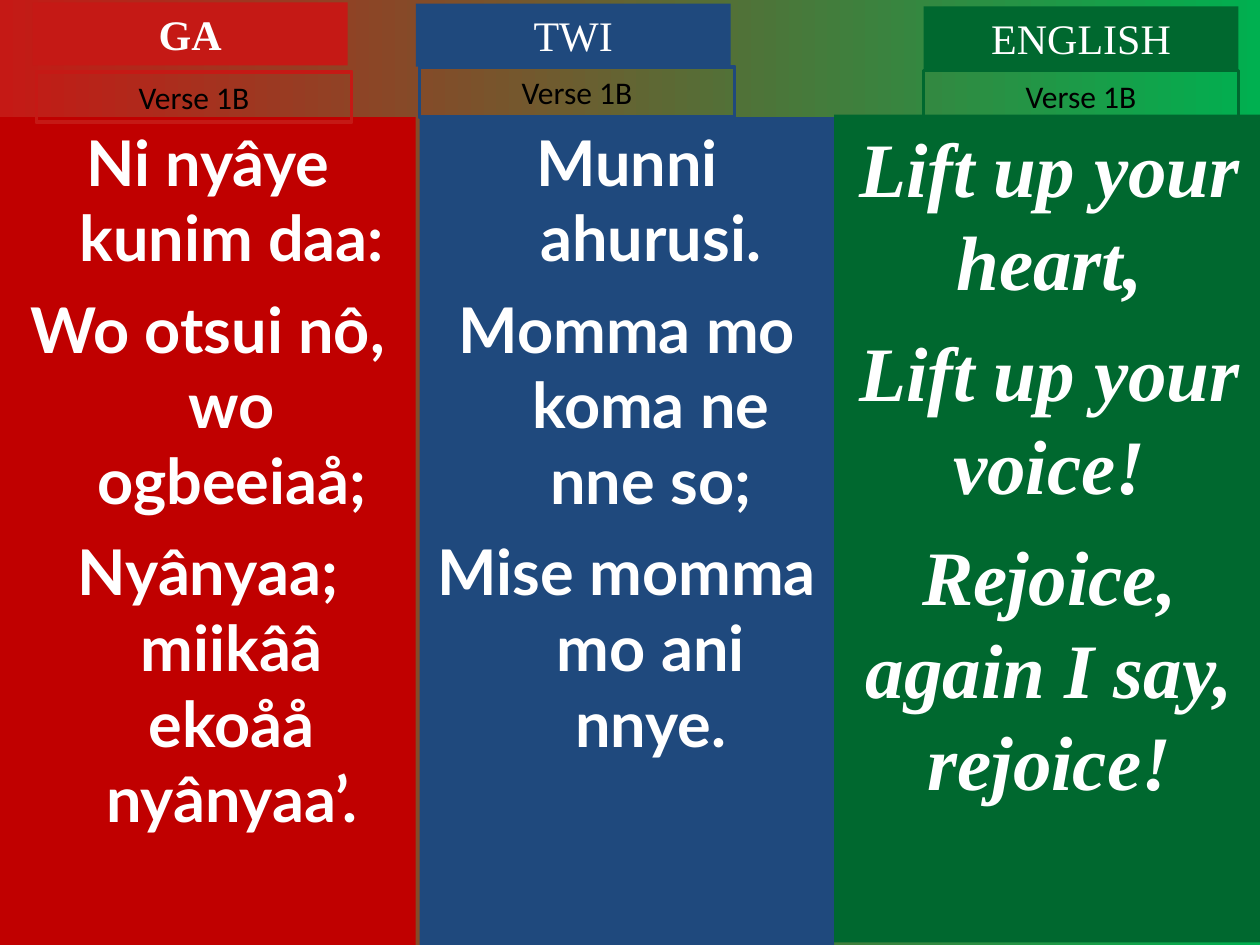
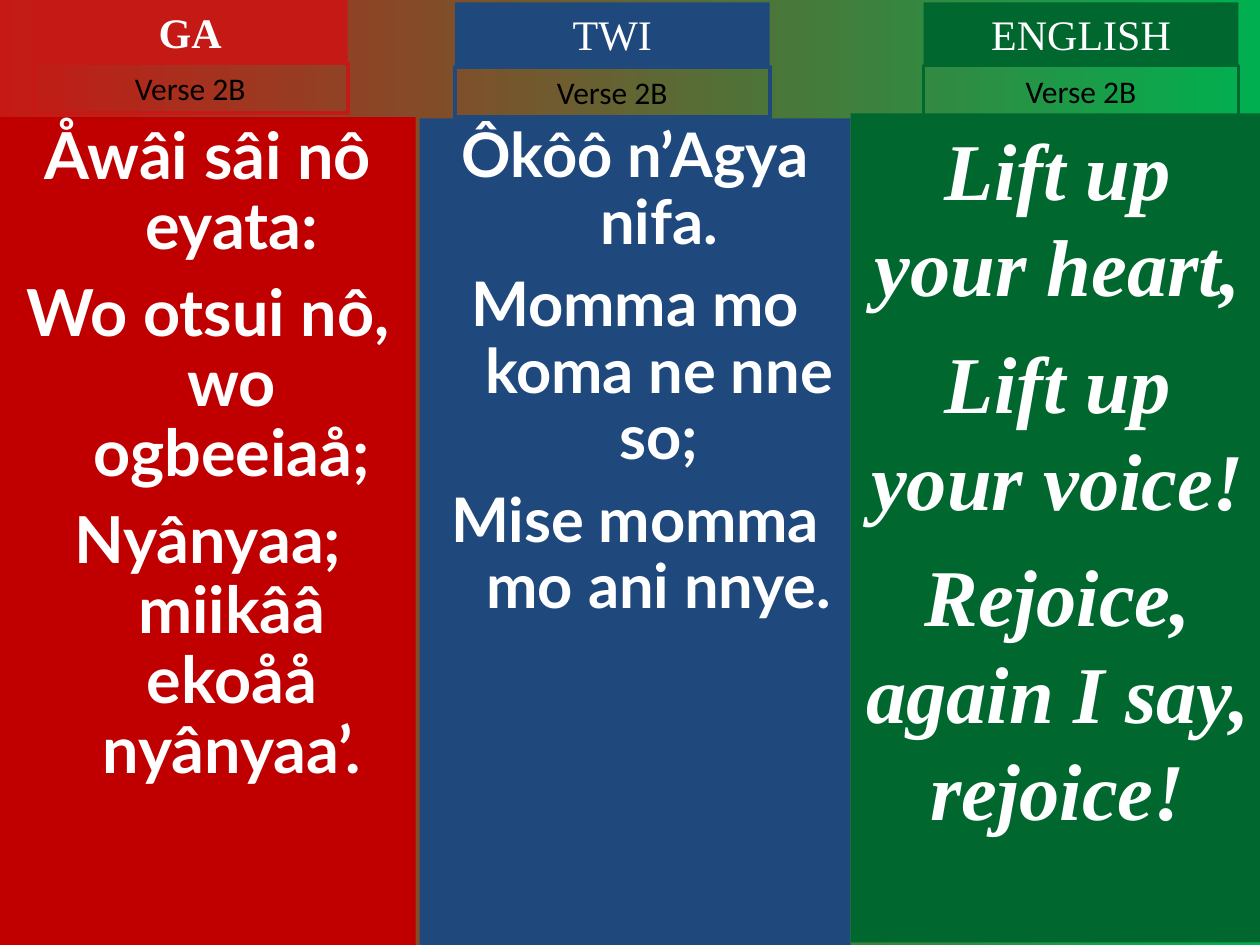
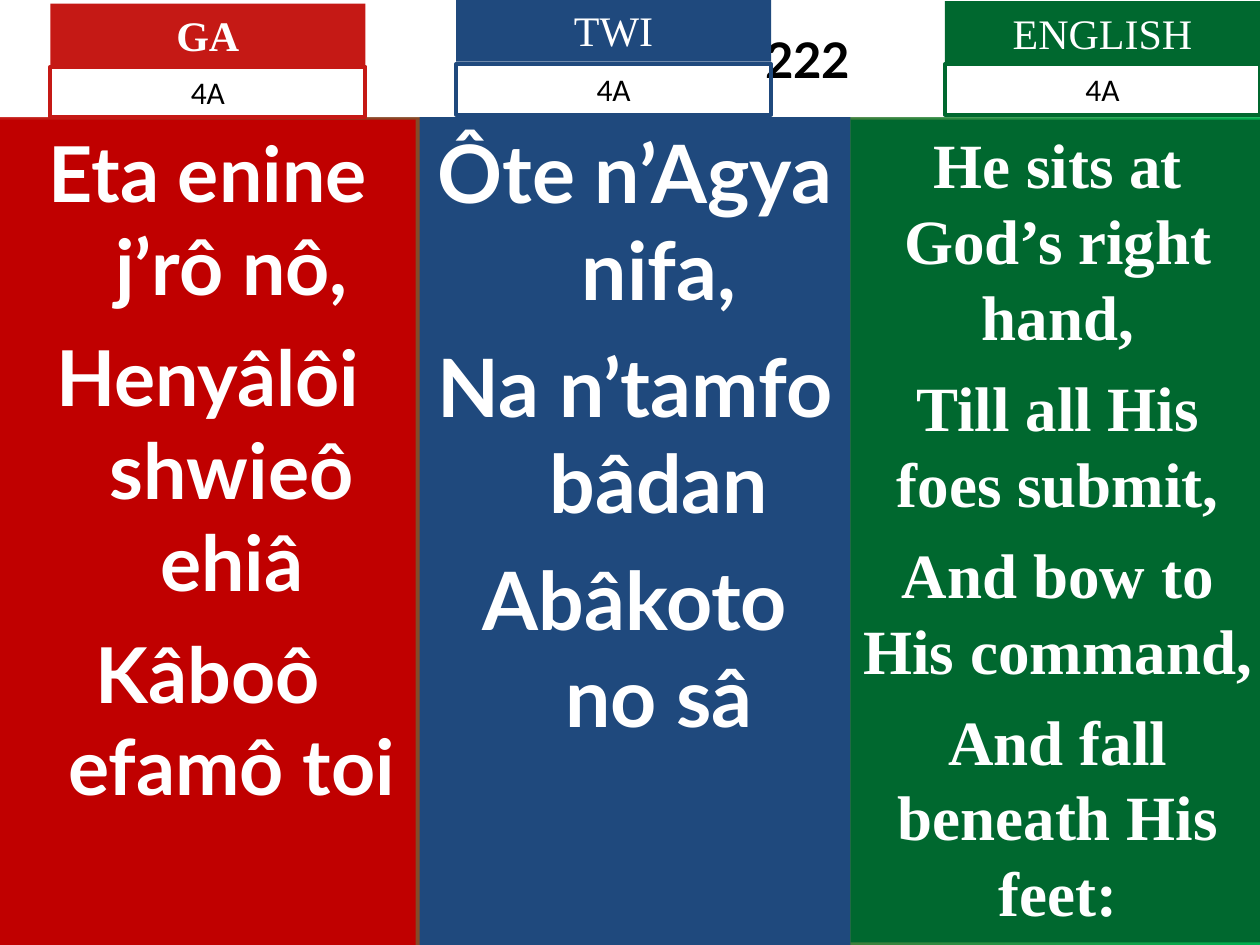
from dataclasses import dataclass

import pptx
import pptx.dml.color
import pptx.enum.shapes
import pptx.enum.text
import pptx.util

Inches = pptx.util.Inches
Pt = pptx.util.Pt
ALIGN = pptx.enum.text.PP_ALIGN
ANCHOR = pptx.enum.text.MSO_ANCHOR
AUTO_SIZE = pptx.enum.text.MSO_AUTO_SIZE

COLORS = {
    "ga_panel": "C00000",
    "ga": "C51915",
    "twi": "1F497D",
    "english": "00682F",
    "bg_end": "00B050",
    "white": "FFFFFF",
    "black": "000000",
}
SERIF = "Times New Roman"
HANGING = Inches(0.38)


@dataclass(frozen=True)
class Style:
    size: float
    font: str
    color: str = "white"
    bold: bool = False
    italic: bool = False
    before: float = 0
    spacing: float | None = None
    hanging: bool = False


@dataclass(frozen=True)
class Language:
    name: str
    color: str
    panel_color: str
    tag: Style


@dataclass(frozen=True)
class Column:
    language: Language
    panel: tuple[float, float, float, float]
    tag: tuple[float, float]
    frame: tuple[float, float]
    style: Style
    lines: tuple[str, ...]


@dataclass(frozen=True)
class Verse:
    label: str
    columns: tuple[Column, ...]
    title: str = ""


GA = Language("GA", "ga", "ga_panel", Style(24, SERIF, bold=True))
TWI = Language("TWI", "twi", "twi", Style(24, SERIF))
ENGLISH = Language("ENGLISH", "english", "english", Style(24, SERIF))
LABEL = Style(18, "Calibri", "black")
TITLE = Style(28, "Lato", "black", bold=True)


def local(size: float, before: float, spacing: float | None = None) -> Style:
    return Style(size, "Lato", bold=True, before=before, spacing=spacing, hanging=True)


def english(size: float, before: float, italic: bool = True) -> Style:
    return Style(size, SERIF, bold=True, italic=italic, before=before)


GA_CHORUS = ("Wo otsui nô, wo ogbeeiaå;", "Nyânyaa; miikââ ekoåå nyânyaa’.")
TWI_CHORUS = ("Momma mo koma ne nne so;", "Mise momma mo ani nnye.")
ENGLISH_CHORUS = (
    "Lift up your heart,",
    "Lift up your voice!",
    "Rejoice, again I say, rejoice!",
)

VERSES = (
    Verse("Verse 1B", (
        Column(GA, (0, 0.93, 3.3, 6.57), (0.26, 0.02), (0.29, 0.57),
               local(36, 9), ("Ni nyâye kunim daa:", *GA_CHORUS)),
        Column(TWI, (3.33, 0.93, 3.29, 6.57), (3.3, 0.03), (3.33, 0.53),
               local(36, 9), ("Munni ahurusi.", *TWI_CHORUS)),
        Column(ENGLISH, (6.62, 0.91, 3.42, 6.57), (7.33, 0.05), (7.33, 0.56),
               english(44, 11), ENGLISH_CHORUS),
    )),
    Verse("Verse 2B", (
        Column(GA, (0, 0.93, 3.3, 6.57), (0.26, 0), (0.26, 0.5),
               local(37, 10, 0.9), ("Åwâi sâi nô eyata:", *GA_CHORUS)),
        Column(TWI, (3.33, 0.94, 3.42, 6.56), (3.61, 0.02), (3.61, 0.53),
               local(35.1, 9.5, 0.9), ("Ôkôô n’Agya nifa.", *TWI_CHORUS)),
        Column(ENGLISH, (6.75, 0.9, 3.29, 6.58), (7.33, 0.02), (7.33, 0.52),
               english(46, 11.5), ENGLISH_CHORUS),
    )),
    Verse("4A", (
        Column(GA, (0, 0.95, 3.3, 6.55), (0.4, 0.03), (0.4, 0.53), local(44, 11),
               ("Eta enine j’rô nô,", "Henyâlôi shwieô ehiâ", "Kâboô efamô toi")),
        Column(TWI, (3.33, 0.93, 3.42, 6.57), (3.62, -0.01), (3.62, 0.51), local(46, 11.5),
               ("Ôte n’Agya nifa,", "Na n’tamfo bâdan", "Abâkoto no sâ")),
        Column(ENGLISH, (6.75, 0.95, 3.29, 6.53), (7.5, 0.01), (7.5, 0.51),
               english(36, 9, italic=False),
               ("He sits at God’s right hand,", "Till all His foes submit,",
                "And bow to His command,", "And fall beneath His feet:")),
    ), title="222"),
)


def rgb(name: str) -> pptx.dml.color.RGBColor:
    return pptx.dml.color.RGBColor.from_string(COLORS[name])


def write(tf, lines: tuple[str, ...], style: Style) -> None:
    tf.word_wrap = True
    for i, line in enumerate(lines):
        p = tf.add_paragraph() if i else tf.paragraphs[0]
        p.alignment = ALIGN.CENTER
        p.space_before = Pt(style.before if i else 0)
        if style.spacing:
            p.line_spacing = style.spacing
        if style.hanging:
            pPr = p._p.get_or_add_pPr()
            pPr.set("marL", str(HANGING))
            pPr.set("indent", str(-HANGING))
        r = p.add_run()
        r.text = line
        r.font.size = Pt(style.size)
        r.font.name = style.font
        r.font.bold = style.bold
        r.font.italic = style.italic
        r.font.color.rgb = rgb(style.color)


def add_box(s, box: tuple[float, ...], lines: tuple[str, ...], style: Style,
            fill: str = "", line: str = "", grow: bool = False) -> None:
    sp = s.shapes.add_shape(pptx.enum.shapes.MSO_SHAPE.RECTANGLE, *map(Inches, box))
    sp.shadow.inherit = False
    if fill:
        sp.fill.solid()
        sp.fill.fore_color.rgb = rgb(fill)
    else:
        sp.fill.background()
    if line:
        sp.line.color.rgb = rgb(line)
        sp.line.width = Pt(2.25)
    else:
        sp.line.fill.background()
    tf = sp.text_frame
    tf.vertical_anchor = ANCHOR.TOP
    tf.auto_size = AUTO_SIZE.SHAPE_TO_FIT_TEXT if grow else AUTO_SIZE.NONE
    write(tf, lines, style)


def add_column(s, col: Column, label: str) -> None:
    lang = col.language
    add_box(s, col.panel, col.lines, col.style, fill=lang.panel_color)
    add_box(s, (*col.tag, 2.5, 0.5), (lang.name,), lang.tag, fill=lang.color, grow=True)
    add_box(s, (*col.frame, 2.5, 0.4), (label,), LABEL, line=lang.color, grow=True)


def format_title(s, text: str) -> None:
    sp = s.shapes.title
    sp.left, sp.top, sp.width, sp.height = map(Inches, (0, 0, 10, 0.93))
    sp.fill.solid()
    sp.fill.fore_color.rgb = rgb("white")
    tf = sp.text_frame
    tf.vertical_anchor = ANCHOR.MIDDLE
    tf.auto_size = AUTO_SIZE.NONE
    tf.margin_left = Inches(2.92)
    write(tf, (text,), TITLE)


def set_background(master) -> None:
    fill = master.background.fill
    fill.gradient()
    fill.gradient_angle = 0
    for stop, position, color in zip(fill.gradient_stops, (0, 1), ("ga", "bg_end")):
        stop.position = position
        stop.color.rgb = rgb(color)


def main() -> None:
    prs = pptx.Presentation()
    prs.slide_width, prs.slide_height = Inches(10), Inches(7.5)
    set_background(prs.slide_master)
    for verse in VERSES:
        layout = "Title Only" if verse.title else "Blank"
        s = prs.slides.add_slide(prs.slide_layouts.get_by_name(layout))
        if verse.title:
            format_title(s, verse.title)
        for col in verse.columns:
            add_column(s, col, verse.label)
    prs.save("out.pptx")


if __name__ == "__main__":
    main()
